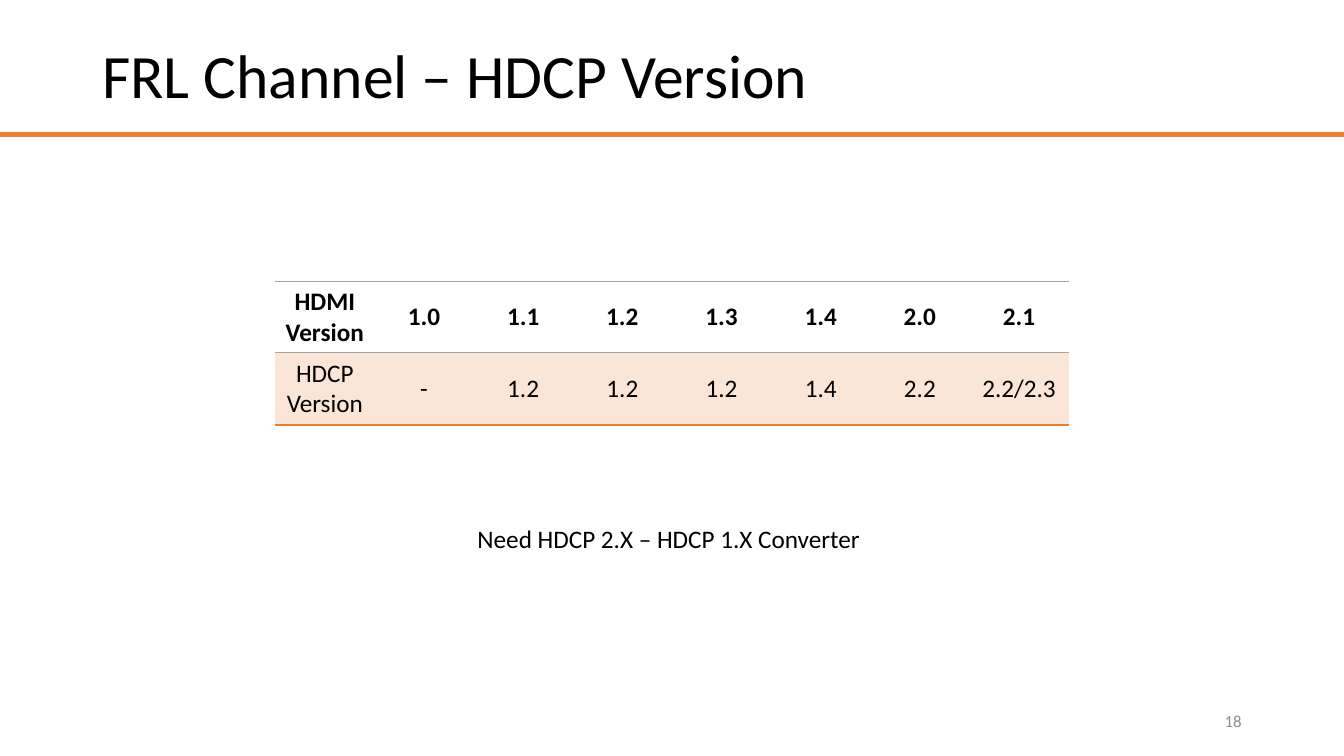
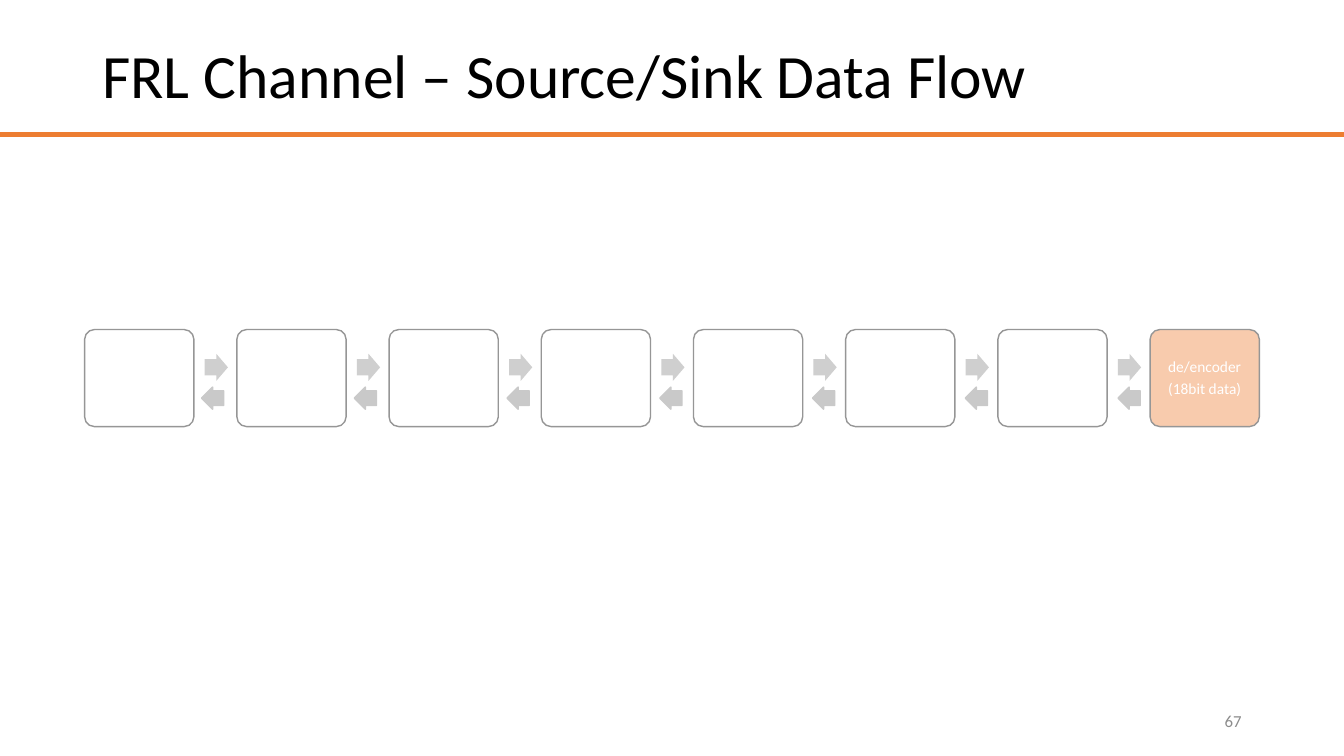
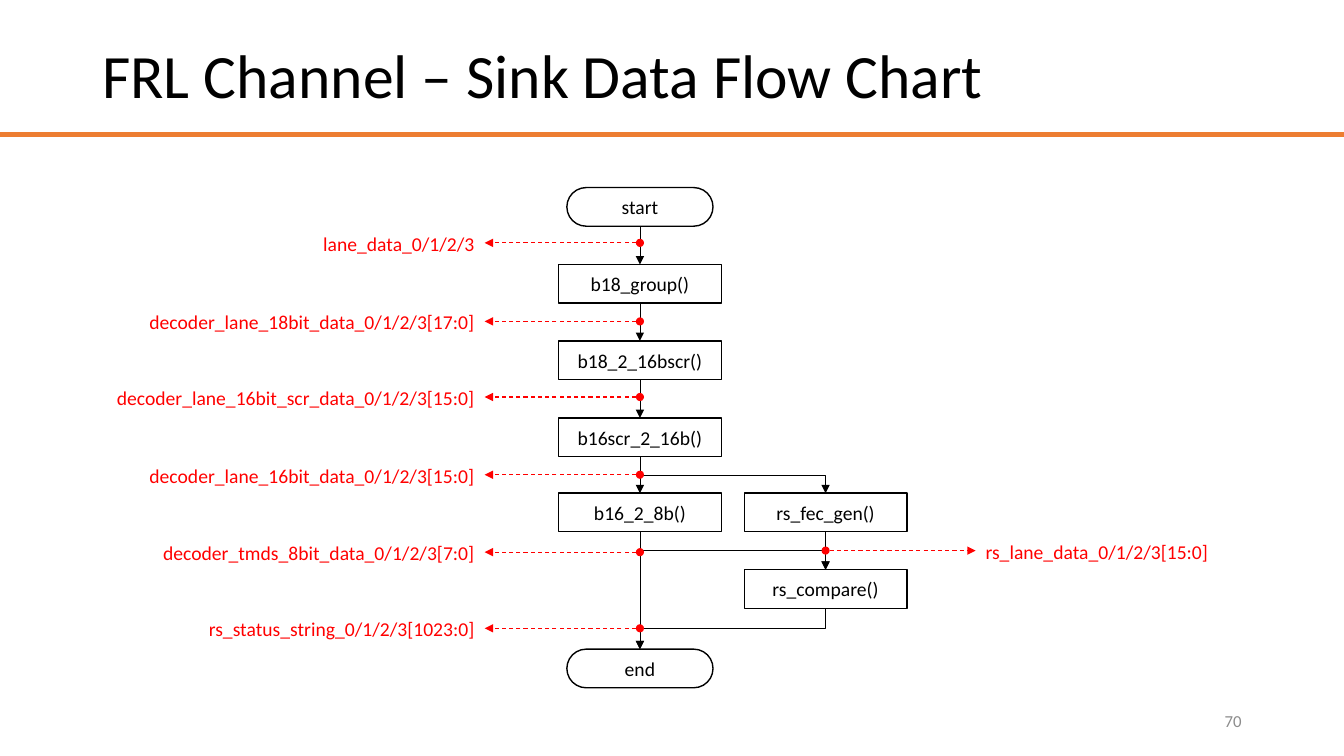
from lxml import etree
from pptx import Presentation
from pptx.dml.color import RGBColor
from pptx.enum.dml import MSO_LINE
from pptx.enum.shapes import MSO_CONNECTOR, MSO_SHAPE
from pptx.enum.text import MSO_ANCHOR, PP_ALIGN
from pptx.oxml.ns import qn
from pptx.util import Pt

LEFT, CENTER, RIGHT = PP_ALIGN.LEFT, PP_ALIGN.CENTER, PP_ALIGN.RIGHT
TOP, MIDDLE = MSO_ANCHOR.TOP, MSO_ANCHOR.MIDDLE
STRAIGHT, ELBOW = MSO_CONNECTOR.STRAIGHT, MSO_CONNECTOR.ELBOW
RECT, ROUND, DOT = MSO_SHAPE.RECTANGLE, MSO_SHAPE.ROUNDED_RECTANGLE, MSO_SHAPE.OVAL
FORWARD, BACK = MSO_SHAPE.RIGHT_ARROW, MSO_SHAPE.LEFT_ARROW
DASH = MSO_LINE.DASH

# Shared style
FONT = "Calibri"
BLACK, WHITE, RED, ORANGE = "000000", "FFFFFF", "FF0000", "ED7D31"
PEACH, PALE_ORANGE = "FBE5D6", "F8CBAD"
GRAY, BOX_GRAY, RULE_GRAY = "8C8C8C", "969696", "A5A5A5"
FORWARD_GRAY, BACK_GRAY = "CFCFCF", "C9C9C9"
SLIDE_W, SLIDE_H = 960, 540


def rgb(color):
    return RGBColor.from_string(color)


def write(frame, text, size, color, align=LEFT, anchor=TOP, bold=False,
          spacing=None, after=None):
    frame.vertical_anchor = anchor
    frame.text = text
    for paragraph in frame.paragraphs:
        paragraph.alignment = align
        paragraph.line_spacing = spacing
        if after is not None:
            paragraph.space_after = Pt(after)
        font = paragraph.font
        font.name, font.size, font.bold = FONT, Pt(size), bold
        font.color.rgb = rgb(color)


def add_text(slide, box, text, size, color, wrap=True, **style):
    frame = slide.shapes.add_textbox(*map(Pt, box)).text_frame
    frame.word_wrap = wrap
    write(frame, text, size, color, **style)


def add_box(slide, kind, box, fill=None, line=None, adjust=()):
    shape = slide.shapes.add_shape(kind, *map(Pt, box))
    shape.shadow.inherit = False
    for index, value in enumerate(adjust):
        shape.adjustments[index] = value
    if fill:
        shape.fill.solid()
        shape.fill.fore_color.rgb = rgb(fill)
    else:
        shape.fill.background()
    if line:
        shape.line.color.rgb = rgb(line)
        shape.line.width = Pt(1)
    else:
        shape.line.fill.background()
    return shape


def add_line(slide, start, end, color=BLACK, width=0.5, kind=STRAIGHT,
             dash=None, arrow=True):
    link = slide.shapes.add_connector(kind, *map(Pt, (*start, *end)))
    link.line.color.rgb = rgb(color)
    link.line.width = Pt(width)
    if dash:
        link.line.dash_style = dash
    if arrow:
        etree.SubElement(link.line._get_or_add_ln(), qn("a:tailEnd"), type="triangle")
    etree.SubElement(link._element.spPr, qn("a:effectLst"))
    return link


def add_elbow(slide, start, end):
    """Arrow that goes down, across and down: a turned elbow connector."""
    (x1, y1), (x2, y2) = start, end
    across, down = abs(x2 - x1), y2 - y1
    left, top = (x1 + x2 - down) / 2, (y1 + y2 - across) / 2
    near, far, turn = (left + down, left, 270) if x2 > x1 else (left, left + down, 90)
    link = add_line(slide, (near, top), (far, top + across), kind=ELBOW)
    link._element.spPr.find(qn("a:xfrm")).set("rot", str(turn * 60000))


def set_border(cell, side, color=None, width=0.75):
    edge = etree.SubElement(cell._tc.get_or_add_tcPr(), qn("a:ln" + side),
                            w=str(Pt(width)))
    if color:
        fill = etree.SubElement(edge, qn("a:solidFill"))
        etree.SubElement(fill, qn("a:srgbClr"), val=color)
    else:
        etree.SubElement(edge, qn("a:noFill"))


def add_slide(deck, title, number):
    slide = deck.slides.add_slide(deck.slide_layouts[6])
    add_line(slide, (0, 96), (SLIDE_W, 96), ORANGE, 4, arrow=False)
    add_text(slide, (66, 28.8, 828, 104.4), title, 44, BLACK, spacing=0.9)
    add_text(slide, (678, 500.4, 216, 28.8), number, 12, GRAY,
             align=RIGHT, anchor=MIDDLE)
    return slide


def add_version_table(slide):
    rows = [
        ("HDMI Version", "1.0", "1.1", "1.2", "1.3", "1.4", "2.0", "2.1"),
        ("HDCP Version", "-", "1.2", "1.2", "1.2", "1.4", "2.2", "2.2/2.3"),
    ]
    column_w, row_h = 70.85, 51.2
    versions = slide.shapes.add_table(
        len(rows), len(rows[0]), Pt(196.6), Pt(200.9),
        Pt(column_w * len(rows[0])), Pt(row_h * len(rows))).table
    versions.first_row = versions.horz_banding = False
    for column in versions.columns:
        column.width = Pt(column_w)
    for r, row in enumerate(rows):
        header = r == 0
        versions.rows[r].height = Pt(row_h)
        for c, value in enumerate(row):
            cell = versions.cell(r, c)
            cell.vertical_anchor = MIDDLE
            write(cell.text_frame, value, 18, BLACK, CENTER, MIDDLE, bold=header)
            set_border(cell, "L")
            set_border(cell, "R")
            set_border(cell, "T", RULE_GRAY)
            if header:
                set_border(cell, "B", RULE_GRAY)
                cell.fill.background()
            else:
                set_border(cell, "B", ORANGE, 1.5)
                cell.fill.solid()
                cell.fill.fore_color.rgb = rgb(PEACH)


def add_data_flow(slide):
    stages, pitch = 8, 108.72
    for i in range(stages):
        left = 60.5 + i * pitch
        last = i == stages - 1
        stage = add_box(slide, ROUND, (left, 235.4, 78, 69.3),
                        PALE_ORANGE if last else None, BOX_GRAY, [0.1])
        if last:
            frame = stage.text_frame
            frame.margin_left = frame.margin_right = Pt(5.8)
            frame.margin_top = frame.margin_bottom = Pt(5.8)
            write(frame, "de/encoder\n(18bit data)", 11, WHITE, CENTER, MIDDLE,
                  spacing=0.9, after=3.9)
        else:
            add_box(slide, FORWARD, (left + 85.7, 252.7, 16.6, 19.4),
                    FORWARD_GRAY, adjust=[0.6, 0.5])
            add_box(slide, BACK, (144 + i * 109.1, 276.5, 15.8, 15.8),
                    BACK_GRAY, BACK_GRAY, [0.66, 0.5])


def add_step(slide, x, top, height, text, terminal=False):
    width = 104.4 if terminal else 116.2
    box = (x - width / 2, top, width, height)
    step = (add_box(slide, ROUND, box, line=BLACK, adjust=[0.5]) if terminal
            else add_box(slide, RECT, box, line=BLACK))
    write(step.text_frame, text, 14, BLACK, CENTER, MIDDLE)


def add_tap(slide, x, y, text, width, direction):
    """Red dot on a flow line with a dashed arrow to its signal name."""
    radius, label_h = 2.9, 24.5
    tip = x + direction * 110.9 if direction < 0 else x + 107.2
    add_box(slide, DOT, (x - radius, y - radius, 2 * radius, 2 * radius), RED)
    add_line(slide, (x + direction * radius, y), (tip, y), RED, 0.75, dash=DASH)
    left, align = (tip - width, RIGHT) if direction < 0 else (tip, LEFT)
    add_text(slide, (left, y - 11.5, width, label_h), text, 14, RED,
             wrap=False, align=align)


def add_flow_chart(slide):
    main_x, check_x, step_h = 457.1, 589.7, 27.6

    # Steps: text and top
    main_steps = [
        ("start", 134), ("b18_group()", 188.9), ("b18_2_16bscr()", 243.5),
        ("b16scr_2_16b()", 298.6), ("b16_2_8b()", 352.3), ("end", 463.7),
    ]
    check_steps = [("rs_fec_gen()", 352.3), ("rs_compare()", 407)]
    for x, steps in ((main_x, main_steps), (check_x, check_steps)):
        for text, top in steps:
            add_step(slide, x, top, step_h, text, text in ("start", "end"))
        for (_, top), (_, next_top) in zip(steps, steps[1:]):
            add_line(slide, (x, top + step_h), (x, next_top))

    # Branches to and from the check column
    tops = dict(main_steps + check_steps)
    for source, source_x, target, target_x in (
        ("b16scr_2_16b()", main_x, "rs_fec_gen()", check_x),
        ("b16_2_8b()", main_x, "rs_compare()", check_x),
        ("rs_compare()", check_x, "end", main_x),
    ):
        add_elbow(slide, (source_x, tops[source] + step_h), (target_x, tops[target]))

    # Signals: text, height on the line, label width
    for text, y, width in (
        ("lane_data_0/1/2/3", 173.5, 124),
        ("decoder_lane_18bit_data_0/1/2/3[17:0]", 229.6, 249),
        ("decoder_lane_16bit_scr_data_0/1/2/3[15:0]", 283.6, 273),
        ("decoder_lane_16bit_data_0/1/2/3[15:0]", 339.1, 249),
        ("decoder_tmds_8bit_data_0/1/2/3[7:0]", 394.4, 239),
        ("rs_status_string_0/1/2/3[1023:0]", 448.8, 207),
    ):
        add_tap(slide, main_x, y, text, width, -1)
    add_tap(slide, check_x, 393.3, "rs_lane_data_0/1/2/3[15:0]", 187, 1)


def main():
    deck = Presentation()
    deck.slide_width, deck.slide_height = Pt(SLIDE_W), Pt(SLIDE_H)

    # HDCP versions
    slide = add_slide(deck, "FRL Channel – HDCP Version", "18")
    add_version_table(slide)
    add_text(slide, (334, 370, 291, 29), "Need HDCP 2.X – HDCP 1.X Converter",
             18, BLACK, wrap=False)

    # Source and sink stages
    add_data_flow(add_slide(deck, "FRL Channel – Source/Sink Data Flow", "67"))

    # Sink flow chart
    add_flow_chart(add_slide(deck, "FRL Channel – Sink Data Flow Chart", "70"))

    deck.save("out.pptx")


if __name__ == "__main__":
    main()
